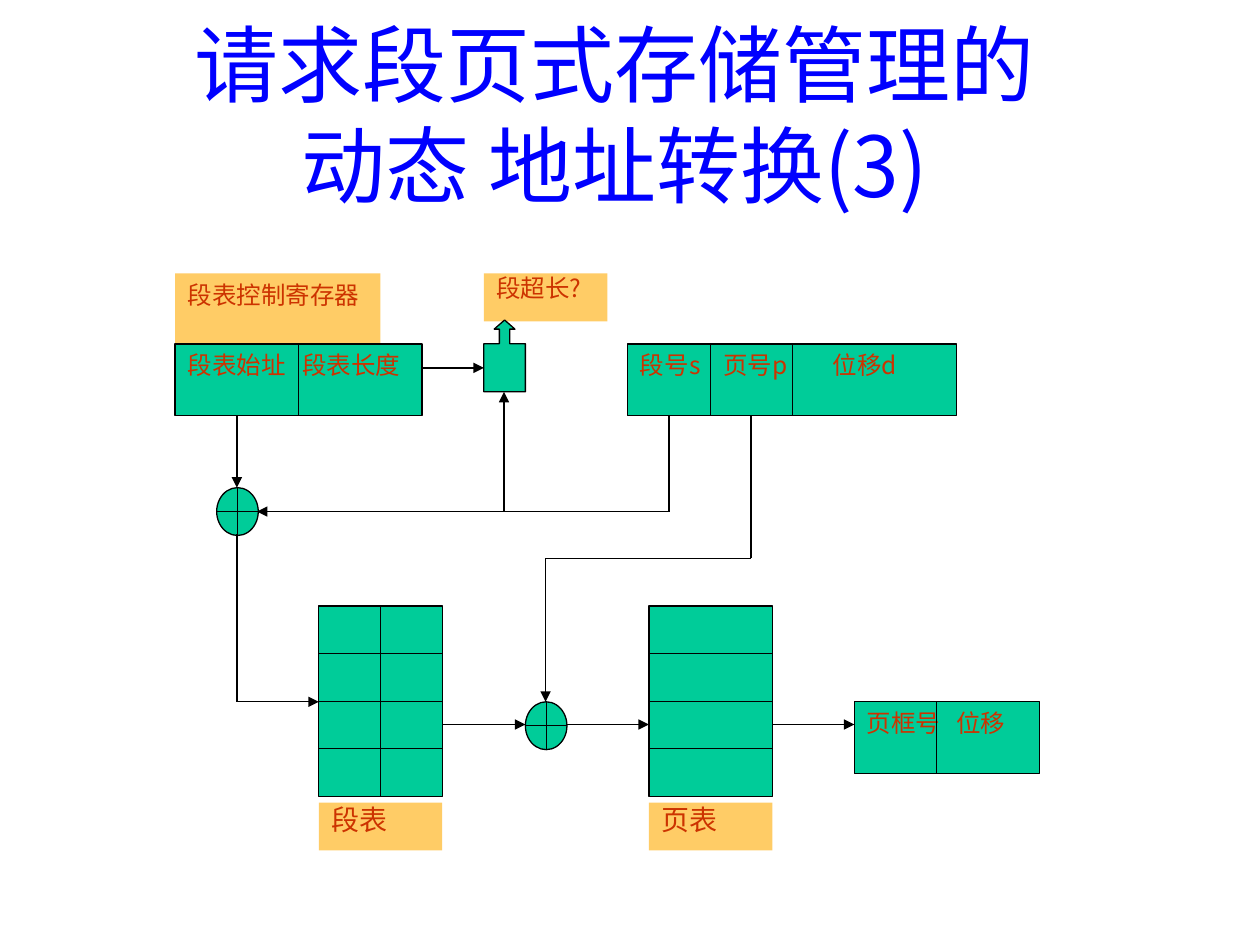
from itertools import pairwise

from lxml import etree
from pptx import Presentation
from pptx.dml.color import RGBColor
from pptx.enum import shapes, text
from pptx.oxml import ns
from pptx.util import Inches, Pt

THEME = {
    "font": "Noto Sans CJK JP",
    "title": "0000FF", "ink": "CC3300", "line": "000000",
    "box": "00CC99", "label": "FFCC66",
    "title_pt": 48, "field_pt": 14, "table_pt": 16, "line_pt": 0.75,
}

TITLE = "请求段页式存储管理的动态 地址转换(3)"
CELL_H = 0.57
TABLE_W, TABLE_TOP, TABLE_H, ROWS = 0.98, 4.81, 1.51, 4
ADDER_W, ADDER_H = 0.33, 0.38

# text, left, top, width, height, size, top and bottom inset
LABELS = [
    ("段表控制寄存器", 1.39, 2.17, 1.63, CELL_H, THEME["field_pt"], 0.05),
    ("段超长?", 3.84, 2.17, 0.98, 0.38, THEME["field_pt"], 0),
    ("段表", 2.53, 6.37, TABLE_W, 0.38, THEME["table_pt"], 0),
    ("页表", 5.15, 6.37, TABLE_W, 0.38, THEME["table_pt"], 0),
]
# fields, left, top, width, divider positions, tab stops
REGISTERS = [
    (["段表始址", "段表长度"], 1.39, 2.73, 1.96, [2.37], [0.91]),
    (["段号s", "页号p", "位移d"], 4.98, 2.73, 2.61, [5.64, 6.29], [0.66, 1.53]),
    (["页框号", "位移"], 6.78, 5.57, 1.47, [7.43], [0.71]),
]
TABLES = [(2.53, 2), (5.15, 1)]  # left, columns
ADDERS = [(1.72, 3.87), (4.17, 5.57)]
# each path ends in an arrowhead
PATHS = [
    [(1.88, 3.3), (1.88, 3.87)],
    [(5.31, 3.3), (5.31, 4.06), (2.04, 4.06)],
    [(3.35, 2.92), (3.84, 2.92)],
    [(4, 4.06), (4, 3.11)],
    [(1.88, 4.24), (1.88, 5.57), (2.53, 5.57)],
    [(5.96, 3.3), (5.96, 4.43), (4.33, 4.43), (4.33, 5.57)],
    [(3.51, 5.75), (4.17, 5.75)],
    [(4.49, 5.75), (5.15, 5.75)],
    [(6.13, 5.75), (6.78, 5.75)],
]


def rgb(name):
    """Return a theme colour."""
    return RGBColor.from_string(THEME[name])


def write(s, content, size, color="ink", align=text.PP_ALIGN.JUSTIFY, inset=0.05, tabs=()):
    """Write one formatted paragraph, with optional tab stops in inches."""
    tf = s.text_frame
    tf.word_wrap = True
    tf.auto_size = text.MSO_AUTO_SIZE.NONE
    tf.vertical_anchor = text.MSO_ANCHOR.TOP
    tf.margin_left = tf.margin_right = Inches(0.1)
    tf.margin_top = tf.margin_bottom = Inches(inset)
    p = tf.paragraphs[0]
    p.alignment = align
    if tabs:
        stops = etree.SubElement(p._p.get_or_add_pPr(), ns.qn("a:tabLst"))
        for pos in tabs:
            etree.SubElement(stops, ns.qn("a:tab"), pos=str(Inches(pos)), algn="l")
    r = p.add_run()
    r.text = content
    r.font.size = Pt(size)
    r.font.name = THEME["font"]
    r.font.color.rgb = rgb(color)
    etree.SubElement(r._r.get_or_add_rPr(), ns.qn("a:ea"), typeface=THEME["font"])


def shape(slide, kind, x, y, w, h, fill="box", outlined=True):
    """Add a flat preset shape."""
    s = slide.shapes.add_shape(kind, Inches(x), Inches(y), Inches(w), Inches(h))
    s.shadow.inherit = False
    s.fill.solid()
    s.fill.fore_color.rgb = rgb(fill)
    if outlined:
        s.line.color.rgb = rgb("line")
        s.line.width = Pt(THEME["line_pt"])
    else:
        s.line.fill.background()
    return s


def line(slide, start, end, arrow=False):
    """Add a straight line, with an arrowhead at its end if asked."""
    c = slide.shapes.add_connector(shapes.MSO_CONNECTOR.STRAIGHT,
                                   *(Inches(v) for v in (*start, *end)))
    c.line.color.rgb = rgb("line")
    c.line.width = Pt(THEME["line_pt"])
    if arrow:
        etree.SubElement(c.line._get_or_add_ln(), ns.qn("a:tailEnd"), type="triangle")
    etree.SubElement(c._element.spPr, ns.qn("a:effectLst"))


def register(slide, fields, x, y, w, dividers, tabs):
    """Draw a register split into fields."""
    s = shape(slide, shapes.MSO_SHAPE.RECTANGLE, x, y, w, CELL_H)
    write(s, "\t".join(fields), THEME["field_pt"], tabs=tabs)
    for dx in dividers:
        line(slide, (dx, y), (dx, y + CELL_H))


def memory_table(slide, x, cols):
    """Draw an empty table in memory with even rows and columns."""
    shape(slide, shapes.MSO_SHAPE.RECTANGLE, x, TABLE_TOP, TABLE_W, TABLE_H)
    for i in range(1, ROWS):
        y = TABLE_TOP + i * TABLE_H / ROWS
        line(slide, (x, y), (x + TABLE_W, y))
    for i in range(1, cols):
        cx = x + i * TABLE_W / cols
        line(slide, (cx, TABLE_TOP), (cx, TABLE_TOP + TABLE_H))


def main():
    """Build and save the slide."""
    prs = Presentation()
    prs.slide_width, prs.slide_height = Inches(10), Inches(7.5)
    slide = prs.slides.add_slide(prs.slide_layouts[5])

    title = slide.shapes.title
    title.left, title.top = Inches(1.38), Inches(0.05)
    title.width, title.height = Inches(7), Inches(2.5)
    write(title, TITLE, THEME["title_pt"], "title", text.PP_ALIGN.CENTER)

    for x, cols in TABLES:
        memory_table(slide, x, cols)
    for content, x, y, w, h, size, inset in LABELS:
        s = shape(slide, shapes.MSO_SHAPE.RECTANGLE, x, y, w, h, "label", False)
        write(s, content, size, inset=inset)
    for item in REGISTERS:
        register(slide, *item)
    for x, y in ADDERS:
        shape(slide, shapes.MSO_SHAPE.FLOWCHART_OR, x, y, ADDER_W, ADDER_H)

    check = shape(slide, shapes.MSO_SHAPE.UP_ARROW_CALLOUT, 3.84, 2.54, 0.33, 0.57)
    for i, value in enumerate((0.25, 0.25, 0.22, 0.67)):
        check.adjustments[i] = value

    for points in PATHS:
        for start, end in pairwise(points):
            line(slide, start, end, arrow=end == points[-1])

    prs.save("out.pptx")


main()
